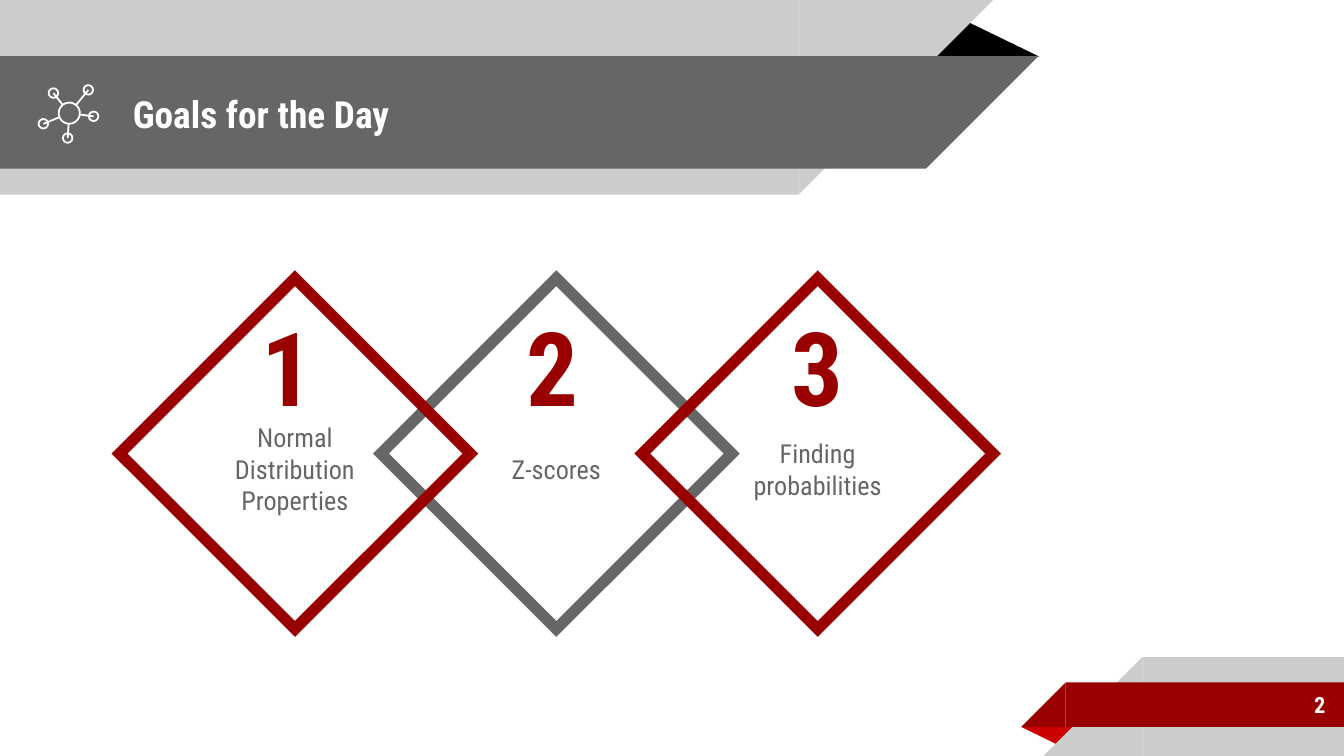
import math

import lxml.etree
import pptx
import pptx.dml.color
import pptx.enum.shapes
import pptx.enum.text
import pptx.oxml.ns
import pptx.util

Cm = pptx.util.Cm
Pt = pptx.util.Pt
Shape = pptx.enum.shapes.MSO_SHAPE
Anchor = pptx.enum.text.MSO_ANCHOR
Align = pptx.enum.text.PP_ALIGN

WIDTH, HEIGHT = 25.4, 14.29
WHITE, BLACK = "FFFFFF", "000000"
LIGHT, DARK = "CCCCCC", "666666"
RED, BRIGHT_RED = "990000", "CC0000"


def color(value):
    return pptx.dml.color.RGBColor.from_string(value)


class SlideBuilder:
    font = "Roboto Condensed"
    inset = 0.25
    icon_line = 0.96

    def __init__(self, slide):
        self.slide = slide

    def shape(self, kind, left, top, width, height, fill=None, line=None, weight=1, rotation=0):
        shape = self.slide.shapes.add_shape(kind, Cm(left), Cm(top), Cm(width), Cm(height))
        shape.shadow.inherit = False
        shape.rotation = rotation
        if fill:
            shape.fill.solid()
            shape.fill.fore_color.rgb = color(fill)
        else:
            shape.fill.background()
        if line:
            shape.line.color.rgb = color(line)
            shape.line.width = Pt(weight)
        else:
            shape.line.fill.background()
        return shape

    def fold(self, left, top, width, height, fill, rotation=0):
        shape = self.shape(Shape.ISOSCELES_TRIANGLE, left, top, width, height, fill, rotation=rotation)
        shape.adjustments[0] = 0.324

    def left_band(self, top, width, height, fill):
        """Band from the left edge with a slanted right end."""
        self.shape(Shape.RECTANGLE, 0, top, width, height, fill)
        self.shape(Shape.RIGHT_TRIANGLE, width, top, height, height, fill, rotation=90)

    def right_band(self, left, top, height, fill):
        """Band to the right edge with a slanted left end."""
        self.shape(Shape.RECTANGLE, left, top, WIDTH - left, height, fill)
        self.shape(Shape.RIGHT_TRIANGLE, left - height, top, height, height, fill, rotation=270)

    def label(self, shape, text, size, text_color, bold=False, align=Align.LEFT,
              anchor=Anchor.MIDDLE, top_inset=inset):
        frame = shape.text_frame
        frame.word_wrap = True
        frame.vertical_anchor = anchor
        frame.margin_left = frame.margin_right = frame.margin_bottom = Cm(self.inset)
        frame.margin_top = Cm(top_inset)
        frame.text = text
        paragraph = frame.paragraphs[0]
        paragraph.alignment = align
        for run in paragraph.runs:
            run.font.name = self.font
            run.font.size = Pt(size)
            run.font.bold = bold
            run.font.color.rgb = color(text_color)

    def text(self, left, top, width, height, text, size, text_color, **style):
        box = self.slide.shapes.add_textbox(Cm(left), Cm(top), Cm(width), Cm(height))
        self.label(box, text, size, text_color, bold=True, **style)

    def diamond(self, left, top, size, text, line, fill=None):
        shape = self.shape(Shape.DIAMOND, left, top, size, size, fill, line, weight=6)
        outline = shape.element.spPr.find(pptx.oxml.ns.qn("a:ln"))
        lxml.etree.SubElement(outline, pptx.oxml.ns.qn("a:miter"), lim="800000")
        # The larger top inset sets the label one line below the number
        self.label(shape, text, 14, DARK, align=Align.CENTER, top_inset=0.83)

    def circle(self, x, y, diameter):
        self.shape(Shape.OVAL, x - diameter / 2, y - diameter / 2, diameter, diameter,
                   line=WHITE, weight=self.icon_line)

    def line(self, x1, y1, x2, y2):
        connector = self.slide.shapes.add_connector(
            pptx.enum.shapes.MSO_CONNECTOR.STRAIGHT, Cm(x1), Cm(y1), Cm(x2), Cm(y2))
        connector.line.color.rgb = color(WHITE)
        connector.line.width = Pt(self.icon_line)
        lxml.etree.SubElement(connector.element.spPr, pptx.oxml.ns.qn("a:effectLst"))

    def network_icon(self, hub_x, hub_y, hub_diameter, nodes, node_diameter):
        for x, y in nodes:
            self.circle(x, y, node_diameter)
        self.circle(hub_x, hub_y, hub_diameter)
        for x, y in nodes:
            reach = hub_diameter / 2 / math.hypot(x - hub_x, y - hub_y)
            self.line(hub_x + (x - hub_x) * reach, hub_y + (y - hub_y) * reach, x, y)


def main():
    presentation = pptx.Presentation()
    presentation.slide_width = Cm(WIDTH)
    presentation.slide_height = Cm(HEIGHT)
    slide = presentation.slides.add_slide(presentation.slide_layouts[6])
    builder = SlideBuilder(slide)

    # Header bands
    builder.fold(17.48, 0.36, 2.16, 0.71, BLACK)
    builder.left_band(0, 15.09, 3.68, LIGHT)
    builder.left_band(1.06, 17.5, 2.13, DARK)

    # Footer bands
    builder.fold(19.3, 13.74, 1.09, 0.36, BRIGHT_RED, rotation=180)
    builder.right_band(21.59, 12.42, HEIGHT - 12.42, LIGHT)
    builder.right_band(20.14, 12.9, 0.84, RED)

    # Title and slide number
    builder.text(2.26, 1.09, 14.6, 2.13, "Goals for the Day", 20, WHITE)
    builder.text(21.16, 12.88, 4.14, 0.89, "2", 12, WHITE, align=Align.RIGHT)

    # Header icon
    nodes = [(1.67, 1.7), (1.01, 1.76), (0.82, 2.34), (1.28, 2.61), (1.77, 2.2)]
    builder.network_icon(1.31, 2.14, 0.4, nodes, 0.18)

    # Goals: the filled middle diamond lies behind its neighbours
    left, top, size, step = 2.26, 5.26, 6.63, 4.94
    builder.diamond(left + step, top, size, "Z-scores", DARK, fill=WHITE)
    builder.diamond(left, top, size, "Normal Distribution Properties", RED)
    builder.diamond(left + 2 * step, top, size, "Finding probabilities", RED)

    # Goal numbers
    for index in range(3):
        builder.text(4.7 + 5 * index, 5.54, 1.37, 2.79, str(index + 1), 55, RED, anchor=Anchor.BOTTOM)

    presentation.save("out.pptx")


if __name__ == "__main__":
    main()
